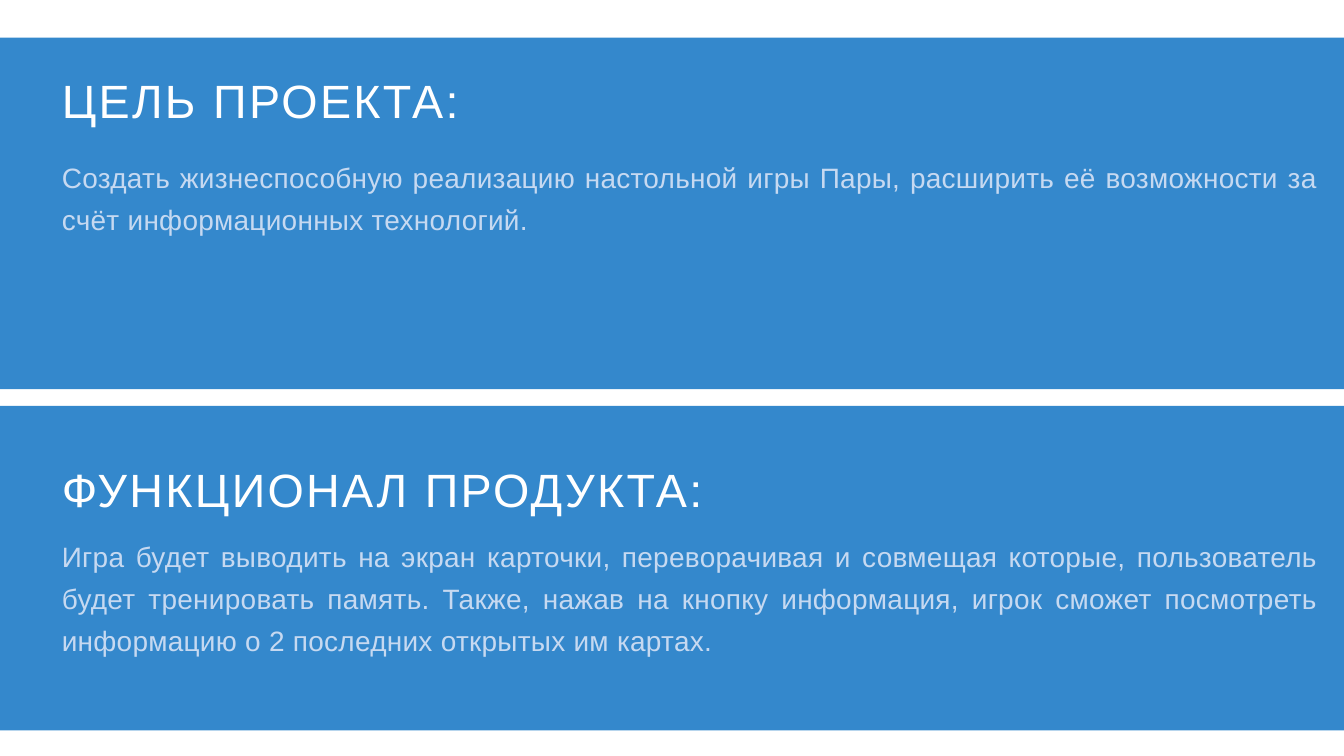
from pptx import Presentation
from pptx.dml.color import RGBColor
from pptx.enum.shapes import MSO_SHAPE
from pptx.enum.text import MSO_ANCHOR, MSO_AUTO_SIZE, PP_ALIGN
from pptx.util import Inches, Pt

RECTANGLE = MSO_SHAPE.RECTANGLE
TOP = MSO_ANCHOR.TOP
GROW = MSO_AUTO_SIZE.SHAPE_TO_FIT_TEXT
LEFT, JUSTIFY = PP_ALIGN.LEFT, PP_ALIGN.JUSTIFY

BLUE, WHITE, PALE = "3488CC", "FFFFFF", "C6D9F1"
TEXT_LEFT = 0.92


def color(value):
    return RGBColor.from_string(value)


def write(frame, text, *, size, fill, leading, tracking, align=LEFT, font="Arial"):
    """Fill a text frame with one paragraph; tracking is in points."""
    para = frame.paragraphs[0]
    para.alignment = align
    para.line_spacing = Pt(leading)
    span = para.add_run()
    span.text = text
    span.font.name = font
    span.font.size = Pt(size)
    span.font.color.rgb = color(fill)
    span.font._element.set("spc", str(round(tracking * 100)))


class Page:
    heading_style = dict(size=50, fill=WHITE, leading=70, tracking=2.5)
    body_style = dict(size=30, fill=PALE, leading=45, tracking=0.3, align=JUSTIFY)

    def __init__(self, deck):
        self.slide = deck.slides.add_slide(deck.slide_layouts[6])

    def band(self, left, top, width, height):
        shape = self.slide.shapes.add_shape(
            RECTANGLE, Inches(left), Inches(top), Inches(width), Inches(height))
        shape.shadow.inherit = False
        shape.fill.solid()
        shape.fill.fore_color.rgb = color(BLUE)
        shape.line.fill.background()

    def text(self, text, top, width, height, style):
        box = self.slide.shapes.add_textbox(
            Inches(TEXT_LEFT), Inches(top), Inches(width), Inches(height))
        frame = box.text_frame
        frame.margin_left = frame.margin_right = 0
        frame.margin_top = frame.margin_bottom = 0
        frame.vertical_anchor = TOP
        frame.word_wrap = True
        frame.auto_size = GROW
        write(frame, text, **style)

    def heading(self, text, top, width, height):
        self.text(text, top, width, height, self.heading_style)

    def body(self, text, top, height):
        self.text(text, top, 18.71, height, self.body_style)


def main():
    deck = Presentation()
    deck.slide_width, deck.slide_height = Inches(20), Inches(11.25)
    page = Page(deck)

    # Background bands
    page.band(-0.02, 0.56, 20.02, 5.23)
    page.band(0, 6.04, 20, 4.83)

    # Product features
    page.heading("ФУНКЦИОНАЛ ПРОДУКТА:", 6.72, 18.67, 0.9)
    page.body(
        "Игра будет выводить на экран карточки, переворачивая и совмещая которые, "
        "пользователь будет тренировать память. Также, нажав на кнопку информация, "
        "игрок сможет посмотреть информацию о 2 последних открытых им картах.",
        7.91, 1.83)

    # Project goal
    page.heading("ЦЕЛЬ ПРОЕКТА:", 0.93, 19.33, 1.11)
    page.body(
        "Создать жизнеспособную реализацию настольной игры Пары, расширить её "
        "возможности за счёт информационных технологий.",
        2.27, 1.2)

    deck.save("out.pptx")


if __name__ == "__main__":
    main()
